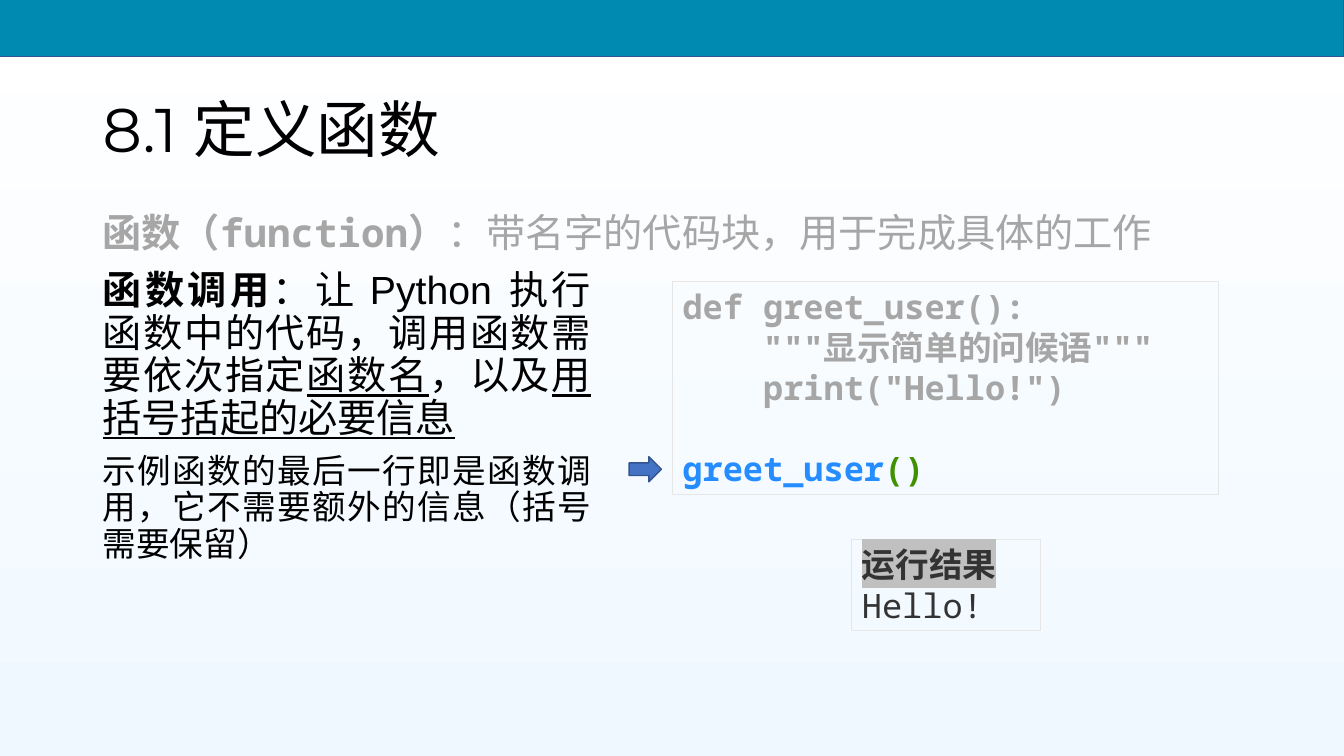
from lxml import etree
from pptx import Presentation
from pptx.dml.color import RGBColor
from pptx.enum.shapes import MSO_SHAPE
from pptx.enum.text import MSO_ANCHOR, PP_ALIGN
from pptx.oxml.ns import qn
from pptx.util import Inches, Pt

BLACK = RGBColor(0x00, 0x00, 0x00)
DARK = RGBColor(0x33, 0x33, 0x33)
GREY = RGBColor(0xA6, 0xA6, 0xA6)
PALE_GREY = RGBColor(0xE7, 0xE6, 0xE6)
SILVER = RGBColor(0xC0, 0xC0, 0xC0)
WHITE = RGBColor(0xFF, 0xFF, 0xFF)
ICE = RGBColor(0xF0, 0xF8, 0xFF)
TEAL = RGBColor(0x00, 0x8A, 0xB1)
BLUE = RGBColor(0x44, 0x72, 0xC4)
NAVY = RGBColor(0x32, 0x54, 0x91)
CALL_BLUE = RGBColor(0x25, 0x8D, 0xFF)
BRACKET_GREEN = RGBColor(0x3F, 0x91, 0x01)

SANS, MONO = "Calibri", "Noto Sans Mono"
WIDTH, HEIGHT, MARGIN = 13.33, 7.5, 0.92

# A paragraph is (size, font, colour, runs); a run is (text, what differs).
TITLE = [(44, "Montserrat", BLACK, [("8.1 定义函数", {})])]
DEFINITION = [(28, SANS, GREY, [
    ("函数（", {"bold": True}),
    ("function", {"bold": True, "name": MONO}),
    ("）", {"bold": True}),
    ("：带名字的代码块，用于完成具体的工作", {}),
])]
EXPLANATION = [
    (28, SANS, BLACK, [
        ("函数调用", {"bold": True}),
        ("：让 ", {}),
        ("Python ", {"name": "Arial"}),
        ("执行函数中的代码，调用函数需要依次指定", {}),
        ("函数名", {"underline": True}),
        ("，以及", {}),
        ("用括号括起的必要信息", {"underline": True}),
    ]),
    (24, SANS, BLACK, [
        ("示例函数的最后一行即是函数调用，它不需要额外的信息（括号需要保留）", {}),
    ]),
]
CODE = [(24, MONO, GREY, [
    ('def greet_user():\n    """显示简单的问候语"""\n    print("Hello!")\n\n', {"bold": True}),
    ("greet_user", {"bold": True, "color": CALL_BLUE}),
    ("()", {"bold": True, "color": BRACKET_GREEN}),
])]
RESULT = [
    (24, MONO, DARK, [("运行结果", {"bold": True, "color": DARK, "highlight": SILVER})]),
    (24, MONO, DARK, [("Hello!", {})]),
]


def style_run(run, style):
    for name, value in style.items():
        if name == "color":
            run.font.color.rgb = value
        elif name == "highlight":
            highlight = etree.SubElement(run._r.get_or_add_rPr(), qn("a:highlight"))
            etree.SubElement(highlight, qn("a:srgbClr"), val=str(value))
        else:
            setattr(run.font, name, value)


def write(frame, paragraphs, align=PP_ALIGN.LEFT, line_spacing=None, gap=0):
    """Fill a text frame; gap is the space in points between paragraphs."""
    frame.word_wrap = True
    for index, (size, font, color, runs) in enumerate(paragraphs):
        paragraph = frame.add_paragraph() if index else frame.paragraphs[0]
        paragraph.alignment = align
        paragraph.line_spacing = line_spacing
        if index and gap:
            paragraph.space_before = Pt(gap)
        paragraph.font.size = Pt(size)
        paragraph.font.name = font
        paragraph.font.color.rgb = color
        for text, style in runs:
            for number, line in enumerate(text.split("\n")):
                if number:
                    paragraph.add_line_break()
                if line:
                    run = paragraph.add_run()
                    run.text = line
                    style_run(run, style)


def add_text(slide, box, paragraphs, **layout):
    frame = slide.shapes.add_textbox(*map(Inches, box)).text_frame
    write(frame, paragraphs, line_spacing=0.9, gap=10, **layout)
    return frame


def add_block(slide, kind, box, fill, line, line_width):
    shape = slide.shapes.add_shape(kind, *map(Inches, box))
    shape.shadow.inherit = False
    if fill is None:
        shape.fill.background()
    else:
        shape.fill.solid()
        shape.fill.fore_color.rgb = fill
    shape.line.color.rgb = line
    shape.line.width = Pt(line_width)
    return shape


def add_panel(slide, box, paragraphs):
    panel = add_block(slide, MSO_SHAPE.RECTANGLE, box, None, PALE_GREY, 0.75)
    panel.text_frame.vertical_anchor = MSO_ANCHOR.TOP
    write(panel.text_frame, paragraphs)


def paint_background(slide):
    fill = slide.background.fill
    fill.gradient()
    fill.gradient_angle = 270
    for stop, color in zip(fill.gradient_stops, (WHITE, ICE)):
        stop.color.rgb = color


def main():
    presentation = Presentation()
    presentation.slide_width = Inches(WIDTH)
    presentation.slide_height = Inches(HEIGHT)
    slide = presentation.slides.add_slide(presentation.slide_layouts[6])
    paint_background(slide)

    content_width = WIDTH - 2 * MARGIN
    add_block(slide, MSO_SHAPE.RECTANGLE, (-0.02, -0.02, WIDTH + 0.02, 0.58), TEAL, NAVY, 1)
    title = add_text(slide, (MARGIN, 0.77, content_width, 1.1), TITLE)
    title.vertical_anchor = MSO_ANCHOR.MIDDLE
    add_text(slide, (MARGIN, 2.07, content_width, 0.57), DEFINITION)
    add_block(slide, MSO_SHAPE.RIGHT_ARROW, (6.24, 4.53, 0.32, 0.25), BLUE, NAVY, 1)
    add_panel(slide, (6.67, 2.79, 5.42, 2.12), CODE)
    add_text(slide, (MARGIN, 2.64, 5.04, 4.42), EXPLANATION, align=PP_ALIGN.JUSTIFY)
    add_panel(slide, (8.45, 5.35, 1.87, 0.91), RESULT)

    presentation.save("out.pptx")


if __name__ == "__main__":
    main()
